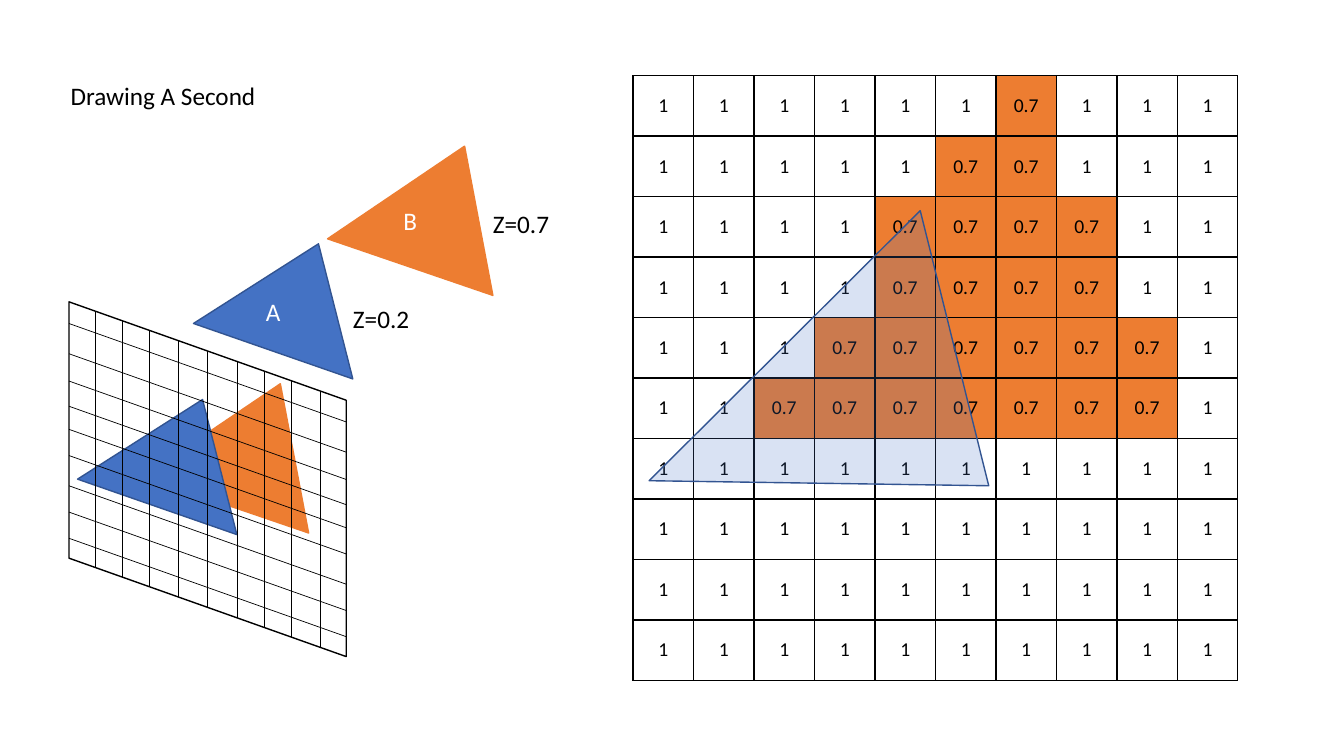
from lxml.etree import SubElement
from pptx import Presentation
from pptx.dml.color import RGBColor
from pptx.enum.shapes import MSO_CONNECTOR, MSO_SHAPE
from pptx.enum.text import MSO_ANCHOR, MSO_AUTO_SIZE, PP_ALIGN
from pptx.oxml.ns import qn
from pptx.util import Pt

FONT = "Calibri"
BLACK, WHITE = "000000", "FFFFFF"
ORANGE, BLUE, NAVY = "ED7D31", "4472C4", "325491"

TITLE = ("Drawing A Second", 43.2, 54, 210.2, 28.8)
DEPTH_LABELS = [("Z=0.7", 321.8, 145.4), ("Z=0.2", 221.8, 213.1)]

FAR, NEAR = "1", "0.7"
GRID_SIZE = 10
GRID_LEFT, GRID_TOP, CELL = 452.2, 54, 43.2
COVERED = {0: (6, 6), 1: (5, 6), 2: (4, 7), 3: (4, 7), 4: (3, 8), 5: (2, 8)}

TRIANGLE_B = [(331.9, 104.4), (234, 170.6), (352.1, 211)]
TRIANGLE_A = [(227.5, 174.2), (138.2, 231.1), (252, 270.7)]
SHIFT_B = (-131.6, 169.7)
SHIFT_A = (-82.8, 111.2)
OVERLAY_A = [(657.4, 150.5), (463.7, 343.4), (706.3, 347)]

SCREEN_LEFT, SCREEN_TOP, SCREEN_WIDTH, SCREEN_HEIGHT = 49.3, 215.6, 198, 253.4
SKEW = 0.355
COLUMN_LINES = [68.4, 87.1, 106.6, 127.4, 148.3, 169.9, 188.6, 208.1, 229]
ROW_LINES = [231.1, 252.7, 272.2, 290.2, 306.7, 325.4, 347, 365.8, 384.5]


def color(value):
    return RGBColor.from_string(value)


def write(frame, text, size, text_color, align):
    frame.text = text
    para = frame.paragraphs[0]
    para.alignment = align
    para.font.size = Pt(size)
    para.font.name = FONT
    para.font.color.rgb = color(text_color)


def add_table(page):
    left, top, side = Pt(GRID_LEFT), Pt(GRID_TOP), Pt(CELL * GRID_SIZE)
    table = page.shapes.add_table(GRID_SIZE, GRID_SIZE, left, top, side, side).table
    table.first_row = table.horz_banding = False
    for line in [*table.rows]:
        line.height = Pt(CELL)
    for line in [*table.columns]:
        line.width = Pt(CELL)
    for row in range(GRID_SIZE):
        first, last = COVERED.get(row, (GRID_SIZE, GRID_SIZE))
        for column in range(GRID_SIZE):
            covered = first <= column <= last
            cell = table.cell(row, column)
            cell.vertical_anchor = MSO_ANCHOR.MIDDLE
            write(cell.text_frame, NEAR if covered else FAR, 14, BLACK, PP_ALIGN.CENTER)
            for side_tag in ("a:lnL", "a:lnR", "a:lnT", "a:lnB"):
                border = SubElement(cell._tc.get_or_add_tcPr(), qn(side_tag), w=str(Pt(1)))
                SubElement(SubElement(border, qn("a:solidFill")), qn("a:srgbClr"), val=BLACK)
            if covered:
                cell.fill.solid()
                cell.fill.fore_color.rgb = color(ORANGE)
            else:
                cell.fill.background()


def add_triangle(page, corners, fill, outline, shift=(0, 0), label=None):
    points = [(Pt(x + shift[0]), Pt(y + shift[1])) for x, y in corners]
    builder = page.shapes.build_freeform(*points[0])
    builder.add_line_segments(points[1:], close=True)
    triangle = builder.convert_to_shape()
    triangle.shadow.inherit = False
    triangle.fill.solid()
    triangle.fill.fore_color.rgb = color(fill)
    triangle.line.color.rgb = color(outline)
    triangle.line.width = Pt(1)
    if label:
        triangle.text_frame.vertical_anchor = MSO_ANCHOR.MIDDLE
        write(triangle.text_frame, label, 18, WHITE, PP_ALIGN.CENTER)
    return triangle


def add_line(group, *ends):
    line = group.shapes.add_connector(MSO_CONNECTOR.STRAIGHT, *map(Pt, ends))
    line.line.color.rgb = color(BLACK)
    line.line.width = Pt(0.5)
    SubElement(line._element.spPr, qn("a:effectLst"))


def add_screen(page):
    group = page.shapes.add_group_shape()
    drop = SKEW * SCREEN_WIDTH
    turn = (SCREEN_HEIGHT - SCREEN_WIDTH) / 2
    frame = group.shapes.add_shape(
        MSO_SHAPE.PARALLELOGRAM, Pt(SCREEN_LEFT - turn), Pt(SCREEN_TOP + turn),
        Pt(SCREEN_HEIGHT), Pt(SCREEN_WIDTH))
    frame.adjustments[0] = SKEW
    frame.rotation = 90
    frame.shadow.inherit = False
    frame.fill.background()
    frame.line.color.rgb = color(BLACK)
    frame.line.width = Pt(1)
    for x in COLUMN_LINES:
        top = SCREEN_TOP + SKEW * (x - SCREEN_LEFT)
        add_line(group, x, top, x, top + SCREEN_HEIGHT - drop)
    for y in ROW_LINES:
        add_line(group, SCREEN_LEFT, y, SCREEN_LEFT + SCREEN_WIDTH, y + drop)


def main():
    deck = Presentation()
    deck.slide_width, deck.slide_height = Pt(960), Pt(540)
    page = deck.slides.add_slide(deck.slide_layouts[5])

    add_table(page)

    text, *place = TITLE
    title = page.shapes.title
    title.left, title.top, title.width, title.height = map(Pt, place)
    title.text_frame.vertical_anchor = MSO_ANCHOR.TOP
    title.text_frame.auto_size = MSO_AUTO_SIZE.SHAPE_TO_FIT_TEXT
    write(title.text_frame, text, 18, BLACK, PP_ALIGN.LEFT)

    add_triangle(page, TRIANGLE_B, ORANGE, ORANGE, label="B")
    add_triangle(page, TRIANGLE_A, BLUE, NAVY, label="A")
    add_triangle(page, TRIANGLE_B, ORANGE, ORANGE, SHIFT_B)
    add_triangle(page, TRIANGLE_A, BLUE, NAVY, SHIFT_A)
    add_screen(page)

    for text, left, top in DEPTH_LABELS:
        box = page.shapes.add_textbox(Pt(left), Pt(top), Pt(100.8), Pt(28.8))
        box.text_frame.word_wrap = True
        box.text_frame.auto_size = MSO_AUTO_SIZE.SHAPE_TO_FIT_TEXT
        write(box.text_frame, text, 18, BLACK, PP_ALIGN.CENTER)

    overlay = add_triangle(page, OVERLAY_A, BLUE, NAVY)
    tint = overlay._element.spPr.find(qn("a:solidFill")).find(qn("a:srgbClr"))
    SubElement(tint, qn("a:alpha"), val="20000")

    deck.save("out.pptx")


if __name__ == "__main__":
    main()
